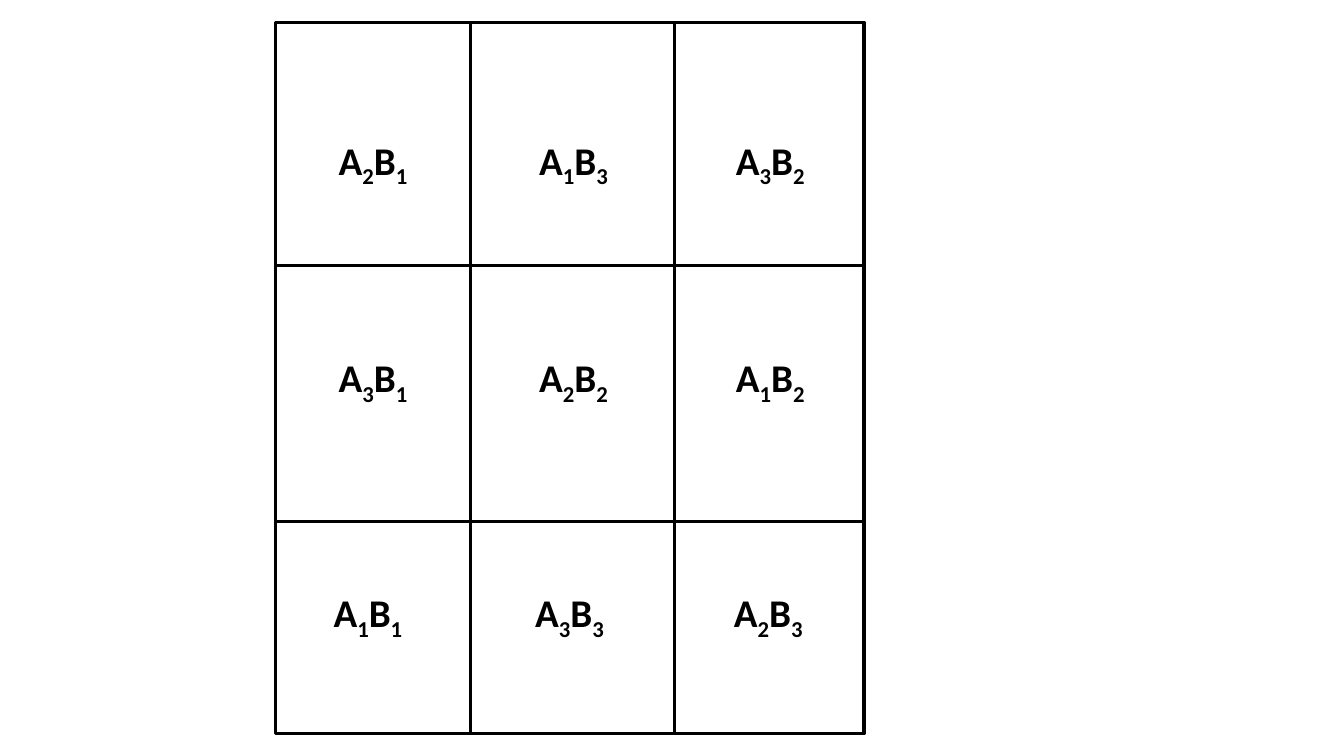
from dataclasses import dataclass

from lxml import etree
from pptx import Presentation
from pptx.dml.color import RGBColor
from pptx.enum.shapes import MSO_CONNECTOR, MSO_SHAPE
from pptx.enum.text import MSO_AUTO_SIZE
from pptx.oxml.ns import qn
from pptx.util import Inches, Pt

STRAIGHT = MSO_CONNECTOR.STRAIGHT
RECTANGLE = MSO_SHAPE.RECTANGLE
FIT_SHAPE = MSO_AUTO_SIZE.SHAPE_TO_FIT_TEXT
BLANK_LAYOUT = 6


@dataclass(frozen=True)
class Theme:
    ink: RGBColor = RGBColor(0, 0, 0)
    font: str = "Calibri"
    label_size: Pt = Pt(28)
    line_width: Pt = Pt(2.25)
    subscript: str = "-25000"


@dataclass(frozen=True)
class PlotRow:
    label_top: float
    label_lefts: tuple[float, ...]
    treatments: tuple[str, ...]


THEME = Theme()

# Field edges and plot boundaries, in inches
COLUMN_EDGES = (2.73, 4.67, 6.69, 8.57)
ROW_EDGES = (0.22, 2.63, 5.17, 7.28)
LABEL_WIDTH, LABEL_HEIGHT = 0.9, 0.57

UPPER_LEFTS = (3.26, 5.25, 7.2)
LOWER_LEFTS = (3.21, 5.21, 7.18)
PLOT_ROWS = (
    PlotRow(1.3, UPPER_LEFTS, ("A2B1", "A1B3", "A3B2")),
    PlotRow(3.46, UPPER_LEFTS, ("A3B1", "A2B2", "A1B2")),
    PlotRow(5.79, LOWER_LEFTS, ("A1B1", "A3B3", "A2B3")),
)


def style_line(line) -> None:
    line.color.rgb = THEME.ink
    line.width = THEME.line_width


def draw_field(slide, left: float, top: float, right: float, bottom: float) -> None:
    field = slide.shapes.add_shape(
        RECTANGLE, Inches(left), Inches(top), Inches(right - left), Inches(bottom - top))
    field.shadow.inherit = False
    field.fill.background()
    style_line(field.line)


def draw_boundary(slide, x1: float, y1: float, x2: float, y2: float) -> None:
    boundary = slide.shapes.add_connector(
        STRAIGHT, Inches(x1), Inches(y1), Inches(x2), Inches(y2))
    style_line(boundary.line)
    etree.SubElement(boundary._element.spPr, qn("a:effectLst"))


def draw_treatment(slide, left: float, top: float, treatment: str) -> None:
    label = slide.shapes.add_textbox(
        Inches(left), Inches(top), Inches(LABEL_WIDTH), Inches(LABEL_HEIGHT))
    frame = label.text_frame
    frame.word_wrap = False
    frame.auto_size = FIT_SHAPE
    for symbol in treatment:
        run = frame.paragraphs[0].add_run()
        run.text = symbol
        run.font.name = THEME.font
        run.font.size = THEME.label_size
        run.font.bold = True
        run.font.color.rgb = THEME.ink
        if symbol.isdigit():
            run._r.get_or_add_rPr().set("baseline", THEME.subscript)


presentation = Presentation()
presentation.slide_width = Inches(13.33)
presentation.slide_height = Inches(7.5)
slide = presentation.slides.add_slide(presentation.slide_layouts[BLANK_LAYOUT])

# Field with its inner plot boundaries
left, *inner_columns, right = COLUMN_EDGES
top, *inner_rows, bottom = ROW_EDGES
draw_field(slide, left, top, right, bottom)
for x in inner_columns:
    draw_boundary(slide, x, top, x, bottom)
for y in inner_rows:
    draw_boundary(slide, left, y, right, y)

# Treatment combination of each plot
for row in PLOT_ROWS:
    for label_left, treatment in zip(row.label_lefts, row.treatments):
        draw_treatment(slide, label_left, row.label_top, treatment)

presentation.save("out.pptx")
